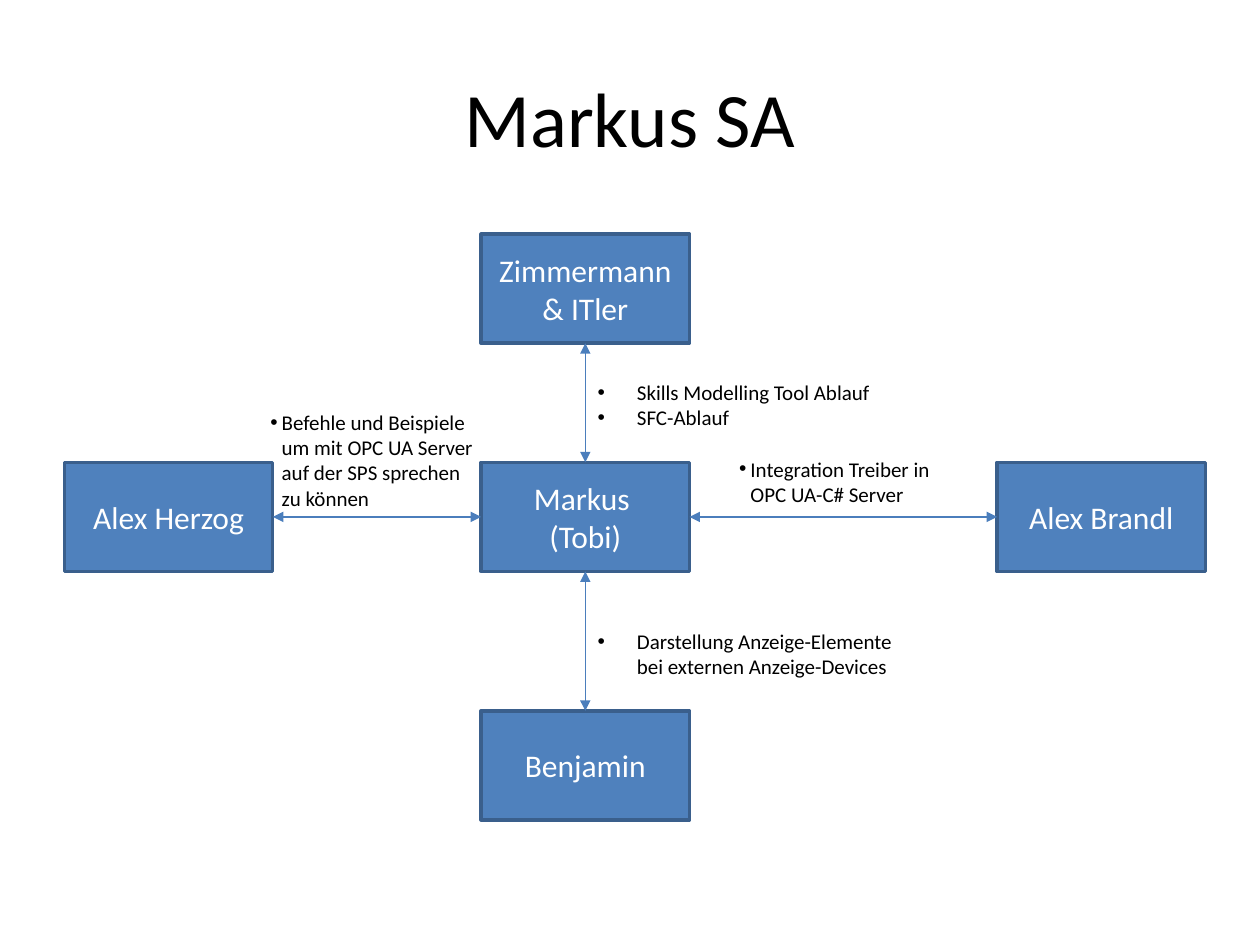
from lxml import etree
from pptx import Presentation
from pptx.dml.color import RGBColor
from pptx.enum.shapes import MSO_CONNECTOR, MSO_SHAPE
from pptx.enum.text import MSO_ANCHOR, MSO_AUTO_SIZE, PP_ALIGN
from pptx.oxml.ns import qn
from pptx.util import Cm, Pt

RECTANGLE = MSO_SHAPE.RECTANGLE
STRAIGHT = MSO_CONNECTOR.STRAIGHT
MIDDLE = MSO_ANCHOR.MIDDLE
CENTER = PP_ALIGN.CENTER
GROW = MSO_AUTO_SIZE.SHAPE_TO_FIT_TEXT

FONT = "Calibri"
BLACK, WHITE = "000000", "FFFFFF"
BOX_FILL, BOX_EDGE, ARROW = "4F81BD", "3A5F8C", "4B7EBC"

# Box size and the columns and rows of the cross, in cm
BOX_WIDTH, BOX_HEIGHT = 4.2, 2.2
LEFT, CENTRE, RIGHT = 1.3, 9.7, 20.1
TOP, MID, BOTTOM = 4.72, 9.32, 14.33

# Connection sites of a rectangle
SITE_TOP, SITE_LEFT, SITE_BOTTOM, SITE_RIGHT = range(4)


def color(hex_code):
    return RGBColor.from_string(hex_code)


def write(frame, lines, size, hex_code, align=None):
    frame.word_wrap = True
    frame.text = "\n".join(lines)
    for paragraph in frame.paragraphs:
        paragraph.alignment = align
        paragraph.font.name = FONT
        paragraph.font.size = Pt(size)
        paragraph.font.color.rgb = color(hex_code)


def add_title(slide, text):
    title = slide.shapes.add_textbox(Cm(1.27), Cm(0.76), Cm(22.86), Cm(3.18))
    title.text_frame.vertical_anchor = MIDDLE
    write(title.text_frame, [text], 44, BLACK, CENTER)


def add_person(slide, left, top, *lines):
    person = slide.shapes.add_shape(
        RECTANGLE, Cm(left), Cm(top), Cm(BOX_WIDTH), Cm(BOX_HEIGHT))
    person.shadow.inherit = False
    person.fill.solid()
    person.fill.fore_color.rgb = color(BOX_FILL)
    person.line.color.rgb = color(BOX_EDGE)
    person.line.width = Pt(2)
    person.text_frame.vertical_anchor = MIDDLE
    write(person.text_frame, lines, 18, WHITE, CENTER)
    return person


def add_exchange(slide, start, start_site, end, end_site):
    """Join two boxes with a double-headed arrow."""
    exchange = slide.shapes.add_connector(STRAIGHT, 0, 0, 0, 0)
    exchange.begin_connect(start, start_site)
    exchange.end_connect(end, end_site)
    exchange.line.color.rgb = color(ARROW)
    exchange.line.width = Pt(0.75)
    line = exchange.line._get_or_add_ln()
    for end_tag in ("a:headEnd", "a:tailEnd"):
        etree.SubElement(line, qn(end_tag), type="triangle")
    etree.SubElement(exchange._element.spPr, qn("a:effectLst"))


def add_topics(slide, left, top, width, height, indent, *topics):
    note = slide.shapes.add_textbox(Cm(left), Cm(top), Cm(width), Cm(height))
    write(note.text_frame, topics, 12, BLACK)
    note.text_frame.auto_size = GROW
    for paragraph in note.text_frame.paragraphs:
        properties = paragraph._p.get_or_add_pPr()
        properties.set("marL", str(Cm(indent)))
        properties.set("indent", str(-Cm(indent)))
        bullet_font = etree.Element(qn("a:buFont"), typeface="Arial")
        bullet = etree.Element(qn("a:buChar"), char="•")
        # Bullet settings come before the default run properties
        properties.insert(0, bullet_font)
        properties.insert(1, bullet)


def main():
    presentation = Presentation()
    presentation.slide_width, presentation.slide_height = Cm(25.4), Cm(19.05)
    slide = presentation.slides.add_slide(presentation.slide_layouts[6])

    add_title(slide, "Markus SA")

    # People
    markus = add_person(slide, CENTRE, MID, "Markus ", "(Tobi)")
    herzog = add_person(slide, LEFT, MID, "Alex Herzog")
    zimmermann = add_person(slide, CENTRE, TOP, "Zimmermann & ITler")
    brandl = add_person(slide, RIGHT, MID, "Alex Brandl")
    benjamin = add_person(slide, CENTRE, BOTTOM, "Benjamin")

    # Exchanges with Markus
    add_exchange(slide, zimmermann, SITE_BOTTOM, markus, SITE_TOP)
    add_exchange(slide, herzog, SITE_RIGHT, markus, SITE_LEFT)
    add_exchange(slide, markus, SITE_BOTTOM, benjamin, SITE_TOP)
    add_exchange(slide, markus, SITE_RIGHT, brandl, SITE_LEFT)

    # Topics of each exchange
    wide, narrow = 0.79, 0.23
    add_topics(slide, 11.8, 7.52, 6.7, 1.28, wide,
               "Skills Modelling Tool Ablauf", "SFC-Ablauf")
    add_topics(slide, 5.2, 8.13, 4.7, 1.8, narrow,
               "Befehle und Beispiele um mit OPC UA Server "
               "auf der SPS sprechen zu können")
    add_topics(slide, 14.65, 9.07, 4.7, 1.28, narrow,
               "Integration Treiber in OPC UA-C# Server")
    add_topics(slide, 11.8, 12.55, 6.7, 1.28, wide,
               "Darstellung Anzeige-Elemente bei externen Anzeige-Devices")

    presentation.save("out.pptx")


if __name__ == "__main__":
    main()
